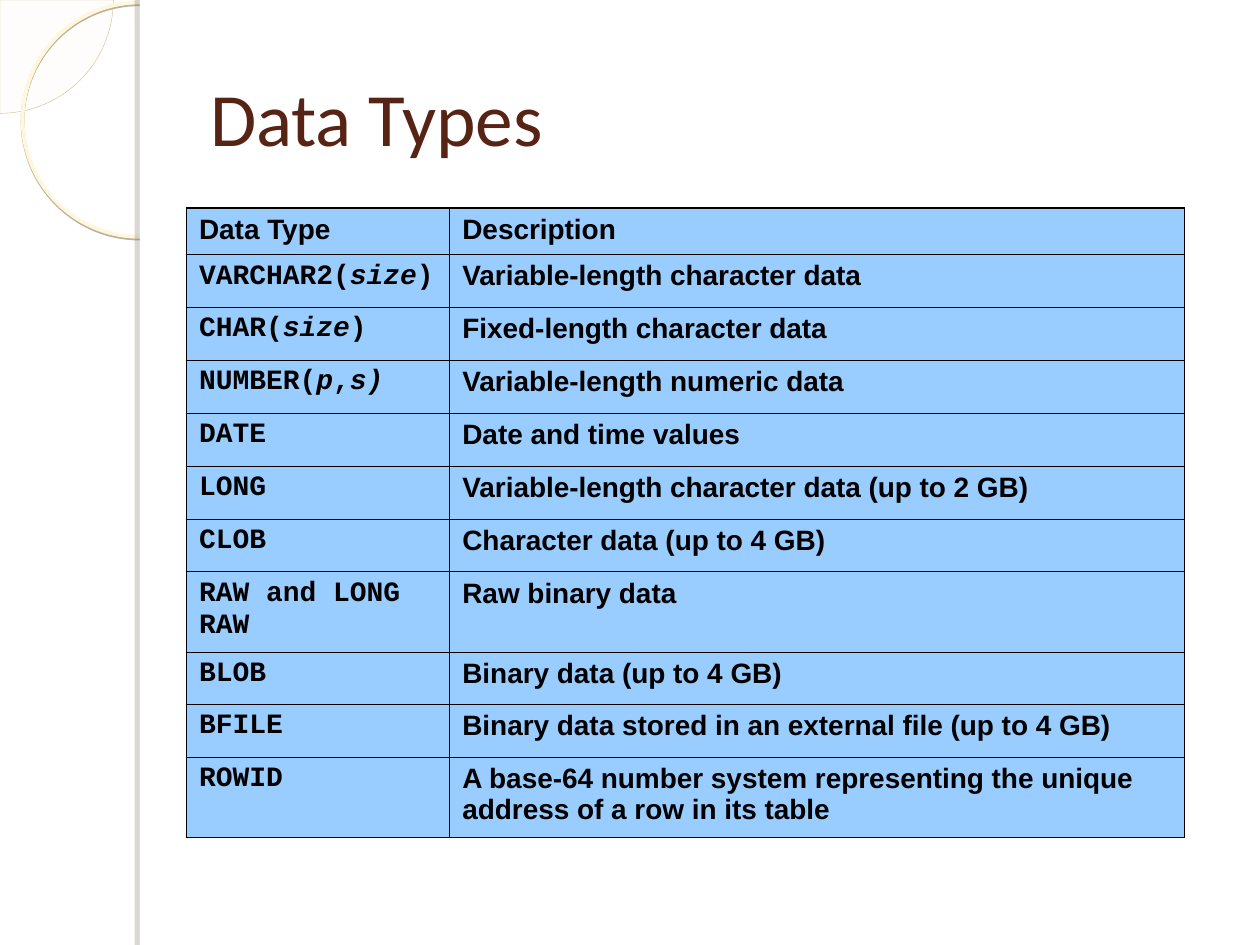
from dataclasses import dataclass
from math import cos, pi, sin
from typing import Optional

from lxml import etree
from pptx import Presentation
from pptx import util as u
from pptx.dml.color import RGBColor
from pptx.enum import shapes, text
from pptx.oxml import ns

WHITE = RGBColor(0xFF, 0xFF, 0xFF)
BLACK = RGBColor(0x00, 0x00, 0x00)
BROWN = RGBColor(0x57, 0x23, 0x14)
SKY = RGBColor(0x99, 0xCC, 0xFF)
CREAM = RGBColor(0xFE, 0xFA, 0xF4)
SAND = RGBColor(0xD2, 0xC3, 0x9E)
RING = RGBColor(0xFF, 0xF6, 0xDB)
RING_SHADE = RGBColor(0xAF, 0xA5, 0x8D)
PANEL_SHADE = RGBColor(0x70, 0x6B, 0x5F)
THICK, THIN = 1.08, 0.45


@dataclass(frozen=True)
class Shadow:
    color: RGBColor
    opacity: int
    distance: float
    angle: int


@dataclass(frozen=True)
class Decoration:
    kind: shapes.MSO_SHAPE
    left: float
    top: float
    width: float
    height: float
    fill: Optional[RGBColor] = None
    line: Optional[RGBColor] = None
    shadow: Optional[Shadow] = None


@dataclass(frozen=True)
class DataType:
    name: tuple[str, ...]
    description: str
    height: float = 0.42
    name_font: str = "Courier New"


DECORATIONS = (
    Decoration(shapes.MSO_SHAPE.OVAL, 0.18, 0.02, 1.86, 1.86, line=RING,
               shadow=Shadow(RING_SHADE, 85, 1, 90)),
    Decoration(shapes.MSO_SHAPE.RECTANGLE, 1.11, 0, 8.89, 7.5, fill=WHITE),
    Decoration(shapes.MSO_SHAPE.RECTANGLE, 1.11, 0, 0.08, 7.5, fill=WHITE,
               shadow=Shadow(PANEL_SHADE, 25, 3, 180)),
)
COLUMN_WIDTHS = (2.09, 5.83)
ROWS = (
    DataType(("Data Type",), "Description", 0.37, "Arial"),
    DataType(("VARCHAR2(", "size", ")"), "Variable-length character data"),
    DataType(("CHAR(", "size", ")"), "Fixed-length character data"),
    DataType(("NUMBER(", "p", ",", "s)"), "Variable-length numeric data"),
    DataType(("DATE",), "Date and time values"),
    DataType(("LONG",), "Variable-length character data (up to 2 GB)"),
    DataType(("CLOB",), "Character data (up to 4 GB)"),
    DataType(("RAW and LONG RAW",), "Raw binary data", 0.64),
    DataType(("BLOB",), "Binary data (up to 4 GB)", 0.41),
    DataType(("BFILE",), "Binary data stored in an external file (up to 4 GB)"),
    DataType(("ROWID",), "A base-64 number system representing the unique "
             "address of a row in its table", 0.64),
)


def add_child(parent, tag: str, **attributes):
    return etree.SubElement(parent, ns.qn(tag),
                            {key: str(value) for key, value in attributes.items()})


def set_alpha(color_element, percent: int) -> None:
    add_child(color_element, "a:alpha", val=percent * 1000)


def add_shadow(shape, shadow: Shadow) -> None:
    effects = shape.element.spPr.find(ns.qn("a:effectLst"))
    outer = add_child(effects, "a:outerShdw", blurRad=0, dist=u.Pt(shadow.distance),
                      dir=shadow.angle * 60000, algn="ctr", rotWithShape=0)
    set_alpha(add_child(outer, "a:srgbClr", val=shadow.color), shadow.opacity)


def draw_corner(slide, radius: float = 0.9, steps: int = 48) -> None:
    angles = [pi / 2 * step / steps for step in range(steps + 1)]
    arc = [(u.Inches(radius * cos(angle)), u.Inches(radius * sin(angle)))
           for angle in angles]
    builder = slide.shapes.build_freeform(0, 0)
    builder.add_line_segments(arc, close=True)
    shape = builder.convert_to_shape()
    shape.shadow.inherit = False
    shape.fill.solid()
    shape.fill.fore_color.rgb = CREAM
    set_alpha(shape.element.spPr.find(".//" + ns.qn("a:srgbClr")), 33)
    shape.line.color.rgb = SAND
    shape.line.width = u.Pt(0.25)


def draw_decoration(slide, decoration: Decoration) -> None:
    shape = slide.shapes.add_shape(
        decoration.kind, u.Inches(decoration.left), u.Inches(decoration.top),
        u.Inches(decoration.width), u.Inches(decoration.height))
    shape.shadow.inherit = False
    if decoration.fill is None:
        shape.fill.background()
    else:
        shape.fill.solid()
        shape.fill.fore_color.rgb = decoration.fill
    if decoration.line is None:
        shape.line.fill.background()
    else:
        shape.line.color.rgb = decoration.line
        shape.line.width = u.Pt(2.15)
    if decoration.shadow:
        add_shadow(shape, decoration.shadow)


def style_font(font, name: str, size: float, color: RGBColor, bold: bool) -> None:
    font.name, font.size, font.bold = name, u.Pt(size), bold
    font.color.rgb = color


def draw_title(slide, title: str) -> None:
    box = slide.shapes.add_textbox(u.Inches(1.57), u.Inches(0.3),
                                   u.Inches(8.2), u.Inches(1.25))
    frame = box.text_frame
    frame.word_wrap = True
    frame.vertical_anchor = text.MSO_ANCHOR.MIDDLE
    frame.text = title
    style_font(frame.paragraphs[0].font, "Calibri", 43, BROWN, False)


def set_borders(cell, **widths: float) -> None:
    properties = cell._tc.get_or_add_tcPr()
    for side, width in widths.items():
        line = add_child(properties, f"a:ln{side}", w=u.Pt(width))
        add_child(add_child(line, "a:solidFill"), "a:srgbClr", val=BLACK)


def fill_cell(cell, parts: tuple[str, ...], font_name: str) -> None:
    cell.fill.solid()
    cell.fill.fore_color.rgb = SKY
    paragraph = cell.text_frame.paragraphs[0]
    style_font(paragraph.font, font_name, 16, BLACK, True)
    for position, part in enumerate(parts):
        run = paragraph.add_run()
        run.text = part
        if position % 2:
            run.font.italic = True


def draw_table(slide, rows: tuple[DataType, ...]) -> None:
    table = slide.shapes.add_table(
        len(rows), len(COLUMN_WIDTHS), u.Inches(1.48), u.Inches(1.65),
        u.Inches(sum(COLUMN_WIDTHS)), u.Inches(sum(row.height for row in rows))).table
    table.first_row = table.horz_banding = False
    for column, width in zip(table.columns, COLUMN_WIDTHS):
        column.width = u.Inches(width)
    last = len(rows) - 1
    for index, row in enumerate(rows):
        table.rows[index].height = u.Inches(row.height)
        top = THICK if index <= 1 else THIN
        bottom = THICK if index in (0, last) else THIN
        name_cell, description_cell = table.cell(index, 0), table.cell(index, 1)
        set_borders(name_cell, L=THICK, R=THIN, T=top, B=bottom)
        set_borders(description_cell, L=THIN, R=THICK, T=top, B=bottom)
        fill_cell(name_cell, row.name, row.name_font)
        fill_cell(description_cell, (row.description,), "Arial")


def main() -> None:
    """Build the Data Types slide with its decorated margin and table."""
    presentation = Presentation()
    presentation.slide_width, presentation.slide_height = u.Inches(10), u.Inches(7.5)
    slide = presentation.slides.add_slide(presentation.slide_layouts[6])
    draw_corner(slide)
    for decoration in DECORATIONS:
        draw_decoration(slide, decoration)
    draw_title(slide, "Data Types")
    draw_table(slide, ROWS)
    presentation.save("out.pptx")


if __name__ == "__main__":
    main()
